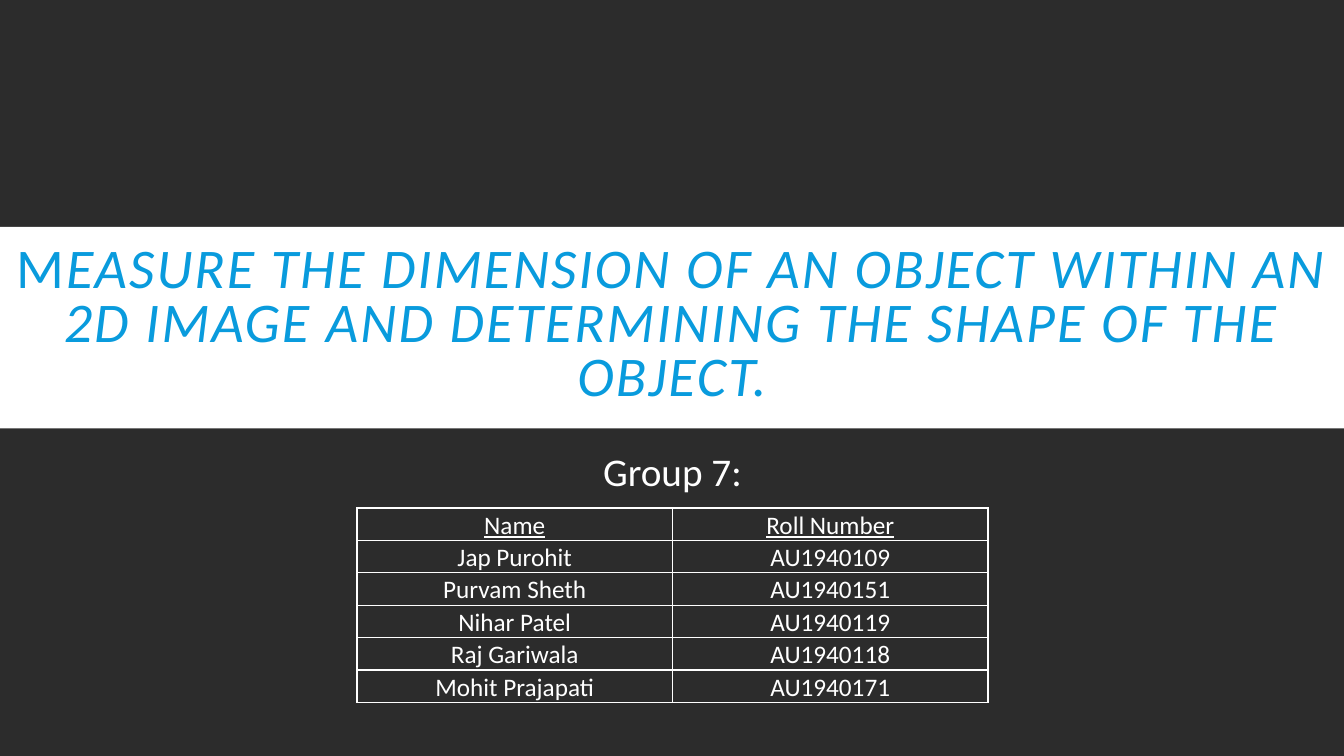
from lxml import etree
from pptx import Presentation
from pptx.dml.color import RGBColor
from pptx.enum import shapes, text
from pptx.oxml import ns
from pptx.util import Inches, Pt

FONT = "Calibri"
BACKGROUND, WHITE, BLUE = "2C2C2C", "FFFFFF", "099BDD"
TITLE_RUNS = [
    ("M", False),
    ("EASURE THE DIMENSION OF AN OBJECT WITHIN AN 2D IMAGE AND "
     "DETERMINING THE SHAPE OF THE OBJECT.", True),
]
SUBTITLE = "Group 7:"
MEMBERS = [
    ("Name", "Roll Number"),
    ("Jap Purohit", "AU1940109"),
    ("Purvam Sheth", "AU1940151"),
    ("Nihar Patel", "AU1940119"),
    ("Raj Gariwala", "AU1940118"),
    ("Mohit Prajapati", "AU1940171"),
]
SLIDE_SIZE = (13.33, 7.5)
BAND_BOX = (-0.01, 2.25, 13.34, 2)
TITLE_BOX = (0, 1.93, 13.33, 2.62)
SUBTITLE_BOX = (4.3, 4.44, 4.74, 0.75)
TABLE_BOX = (3.54, 5.04, 6.26, 1.84)


def box(values):
    return [Inches(value) for value in values]


def color(value):
    return RGBColor.from_string(value)


def format_run(run, size, fill):
    run.font.name = FONT
    run.font.size = Pt(size)
    run.font.color.rgb = color(fill)


def format_paragraph(paragraph, line_spacing, before=0, after=0):
    paragraph.alignment = text.PP_ALIGN.CENTER
    paragraph.line_spacing = line_spacing
    paragraph.space_before = Pt(before)
    paragraph.space_after = Pt(after)


def add_borders(cell):
    properties = cell._tc.get_or_add_tcPr()
    for index, side in enumerate(("lnL", "lnR", "lnT", "lnB")):
        line = etree.Element(ns.qn(f"a:{side}"), w=str(Pt(1)))
        fill = etree.SubElement(line, ns.qn("a:solidFill"))
        etree.SubElement(fill, ns.qn("a:srgbClr"), val=WHITE)
        properties.insert(index, line)


def add_title(slide):
    title = slide.shapes.title
    title.left, title.top, title.width, title.height = box(TITLE_BOX)
    frame = title.text_frame
    frame.word_wrap = True
    frame.auto_size = text.MSO_AUTO_SIZE.NONE
    frame.vertical_anchor = text.MSO_ANCHOR.MIDDLE
    paragraph = frame.paragraphs[0]
    format_paragraph(paragraph, 0.8)
    for words, italic in TITLE_RUNS:
        run = paragraph.add_run()
        run.text = words
        format_run(run, 40, BLUE)
        run.font.italic = italic
        run._r.get_or_add_rPr().set("spc", "150")


def add_band(slide):
    band = slide.shapes.add_shape(shapes.MSO_SHAPE.RECTANGLE, *box(BAND_BOX))
    band.shadow.inherit = False
    band.fill.solid()
    band.fill.fore_color.rgb = color(WHITE)
    band.line.fill.background()
    slide.shapes.title.element.addprevious(band.element)


def add_subtitle(slide):
    frame = slide.shapes.add_textbox(*box(SUBTITLE_BOX)).text_frame
    frame.word_wrap = True
    frame.text = SUBTITLE
    paragraph = frame.paragraphs[0]
    format_paragraph(paragraph, 0.9, before=12, after=2)
    format_run(paragraph.runs[0], 28, WHITE)


def add_members(slide):
    table = slide.shapes.add_table(
        len(MEMBERS), len(MEMBERS[0]), *box(TABLE_BOX)).table
    table.first_row = table.horz_banding = False
    for row, values in enumerate(MEMBERS):
        for column, value in enumerate(values):
            cell = table.cell(row, column)
            cell.text_frame.text = value
            cell.margin_left = cell.margin_right = Inches(0.07)
            cell.margin_top = cell.margin_bottom = 0
            cell.fill.background()
            add_borders(cell)
            paragraph = cell.text_frame.paragraphs[0]
            format_paragraph(paragraph, 1.07, after=8)
            run = paragraph.runs[0]
            format_run(run, 18, WHITE)
            run.font.underline = row == 0


def main():
    presentation = Presentation()
    presentation.slide_width, presentation.slide_height = box(SLIDE_SIZE)
    slide = presentation.slides.add_slide(presentation.slide_layouts[5])
    slide.background.fill.solid()
    slide.background.fill.fore_color.rgb = color(BACKGROUND)
    add_title(slide)
    add_band(slide)
    add_subtitle(slide)
    add_members(slide)
    presentation.save("out.pptx")


if __name__ == "__main__":
    main()
